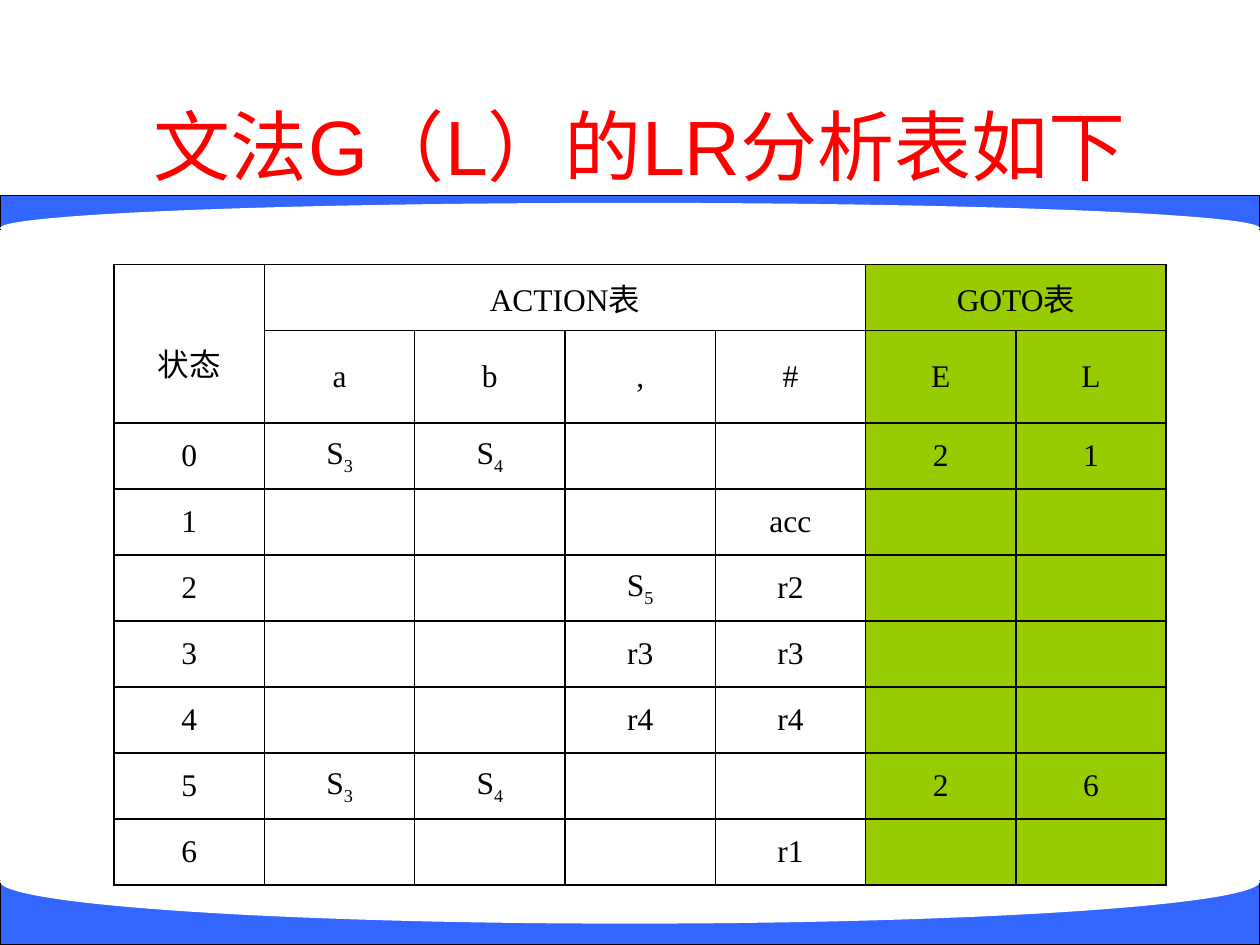
from lxml.etree import SubElement
from pptx import Presentation
from pptx.dml.color import RGBColor
from pptx.enum.shapes import MSO_SHAPE
from pptx.enum.text import MSO_ANCHOR, PP_ALIGN
from pptx.oxml.ns import qn
from pptx.util import Cm, Pt

BLACK = RGBColor(0x00, 0x00, 0x00)
WHITE = RGBColor(0xFF, 0xFF, 0xFF)
RED = RGBColor(0xFF, 0x00, 0x00)
BLUE = RGBColor(0x33, 0x66, 0xFF)
GREEN = RGBColor(0x99, 0xCC, 0x00)

# Content: an underscore marks the start of a subscript
TITLE = "文法G（L）的LR分析表如下"
ROWS = [
    ["状态", "ACTION表", "", "", "", "GOTO表", ""],
    ["", "a", "b", ",", "#", "E", "L"],
    ["0", "S_3", "S_4", "", "", "2", "1"],
    ["1", "", "", "", "acc", "", ""],
    ["2", "", "", "S_5", "r2", "", ""],
    ["3", "", "", "r3", "r3", "", ""],
    ["4", "", "", "r4", "r4", "", ""],
    ["5", "S_3", "S_4", "", "", "2", "6"],
    ["6", "", "", "", "r1", "", ""],
]
MERGES = [((0, 0), (1, 0)), ((0, 1), (0, 4)), ((0, 5), (0, 6))]
FIRST_GOTO_COLUMN = 5

# Sizes in centimetres
SLIDE_WIDTH, SLIDE_HEIGHT = 25.4, 19.05
COLUMN_WIDTH, ROW_HEIGHT, SYMBOL_ROW_HEIGHT = 3.03, 1.33, 1.87
# Each band: top and height of the blue bar, then of the white curve over it
BANDS = [(3.94, 0.69, 4.09, 1.02), (17.75, 1.3, 16.92, 1.7)]


def write_text(frame, text, size=18, font="Times New Roman", color=BLACK):
    paragraph = frame.paragraphs[0]
    paragraph.alignment = PP_ALIGN.CENTER
    paragraph.font.size = Pt(size)
    for index, part in enumerate(text.split("_")):
        if not part:
            continue
        run = paragraph.add_run()
        run.text = part
        run.font.size = Pt(size)
        run.font.name = font
        run.font.color.rgb = color
        if index:
            run._r.get_or_add_rPr().set("baseline", "-25000")


def add_band_shape(slide, kind, top, height, color, outlined):
    shape = slide.shapes.add_shape(kind, 0, Cm(top), Cm(SLIDE_WIDTH), Cm(height))
    shape.shadow.inherit = False
    shape.fill.solid()
    shape.fill.fore_color.rgb = color
    if outlined:
        shape.line.color.rgb = BLACK
        shape.line.width = Pt(0.75)
    else:
        shape.line.fill.background()


def add_borders(cell):
    properties = cell._tc.get_or_add_tcPr()
    for side in ("a:lnL", "a:lnR", "a:lnT", "a:lnB"):
        line = SubElement(properties, qn(side), w=str(Pt(1)))
        fill = SubElement(line, qn("a:solidFill"))
        SubElement(fill, qn("a:srgbClr"), val=str(BLACK))


def add_parsing_table(slide):
    row_count, column_count = len(ROWS), len(ROWS[0])
    table_height = ROW_HEIGHT * (row_count - 1) + SYMBOL_ROW_HEIGHT
    table = slide.shapes.add_table(
        row_count, column_count, Cm(2.3), Cm(5.33),
        Cm(COLUMN_WIDTH * column_count), Cm(table_height)).table
    table.first_row = False
    table.horz_banding = False
    for column in table.columns:
        column.width = Cm(COLUMN_WIDTH)
    for row in table.rows:
        row.height = Cm(ROW_HEIGHT)
    table.rows[1].height = Cm(SYMBOL_ROW_HEIGHT)

    for row_index, values in enumerate(ROWS):
        for column_index, value in enumerate(values):
            cell = table.cell(row_index, column_index)
            add_borders(cell)
            cell.vertical_anchor = MSO_ANCHOR.MIDDLE
            if column_index >= FIRST_GOTO_COLUMN:
                cell.fill.solid()
                cell.fill.fore_color.rgb = GREEN
            else:
                cell.fill.background()
            write_text(cell.text_frame, value)
    for first, last in MERGES:
        table.cell(*first).merge(table.cell(*last))
    # The state heading sits below the middle of its cell
    table.cell(0, 0).margin_top = Cm(0.9)


def main():
    presentation = Presentation()
    presentation.slide_width = Cm(SLIDE_WIDTH)
    presentation.slide_height = Cm(SLIDE_HEIGHT)
    slide = presentation.slides.add_slide(presentation.slide_layouts[6])

    # Curved blue bands
    for bar_top, bar_height, curve_top, curve_height in BANDS:
        add_band_shape(slide, MSO_SHAPE.RECTANGLE, bar_top, bar_height, BLUE, True)
        add_band_shape(slide, MSO_SHAPE.OVAL, curve_top, curve_height, WHITE, False)

    # Title
    title = slide.shapes.add_textbox(Cm(1.47), Cm(1.32), Cm(22.86), Cm(3.18))
    title.text_frame.word_wrap = True
    title.text_frame.vertical_anchor = MSO_ANCHOR.MIDDLE
    write_text(title.text_frame, TITLE, size=44, font="Arial", color=RED)

    add_parsing_table(slide)
    presentation.save("out.pptx")


if __name__ == "__main__":
    main()
